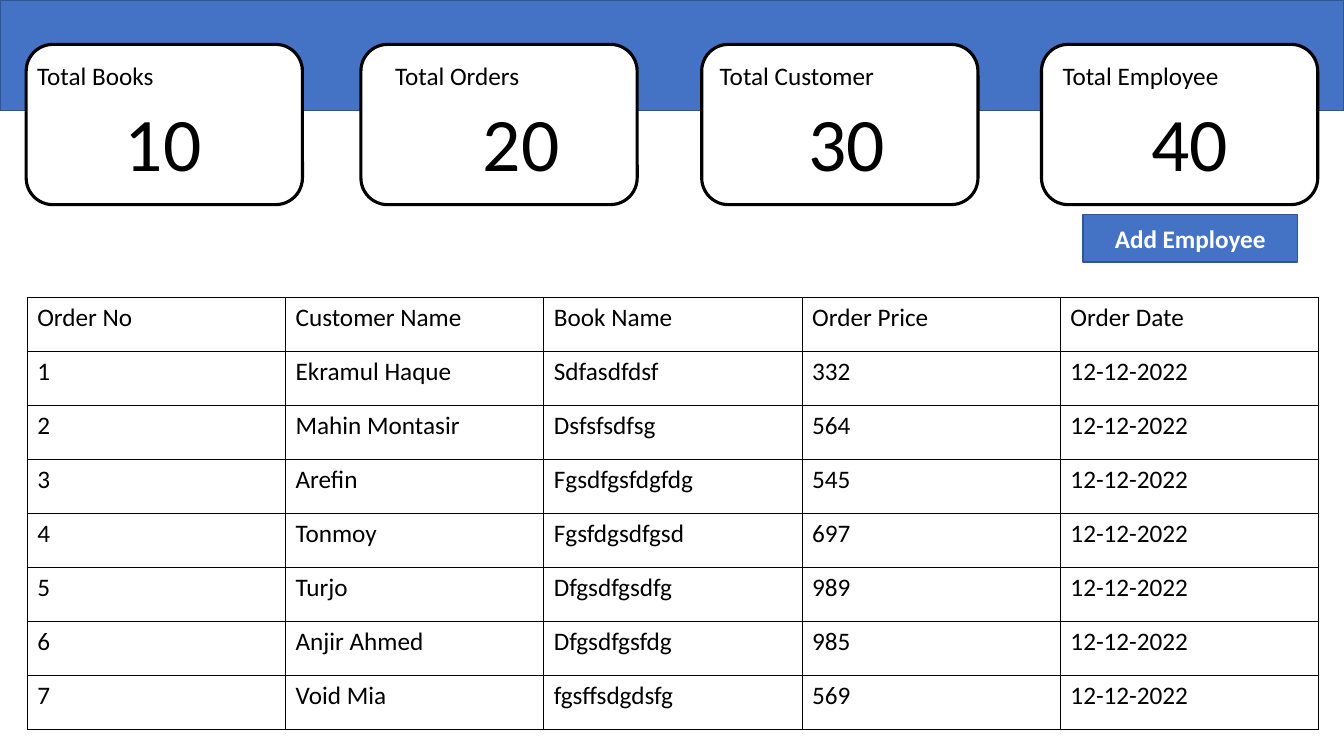
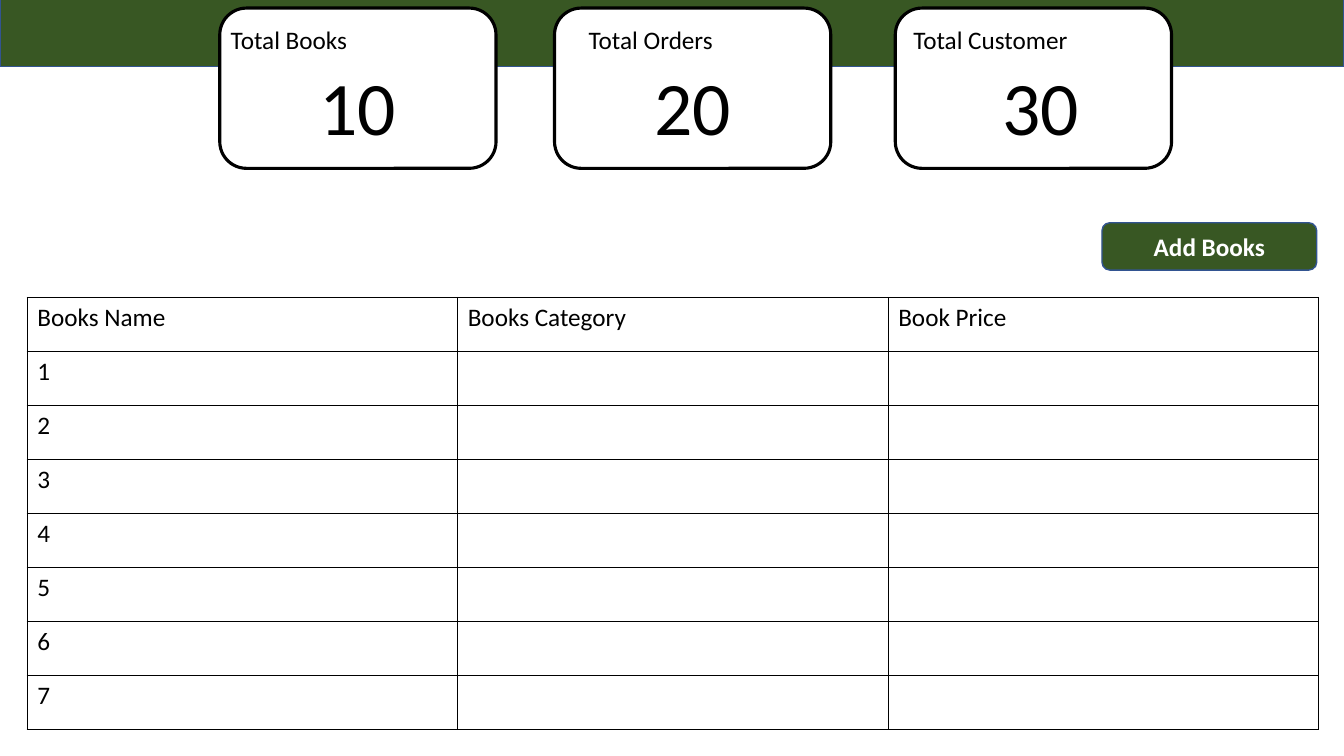
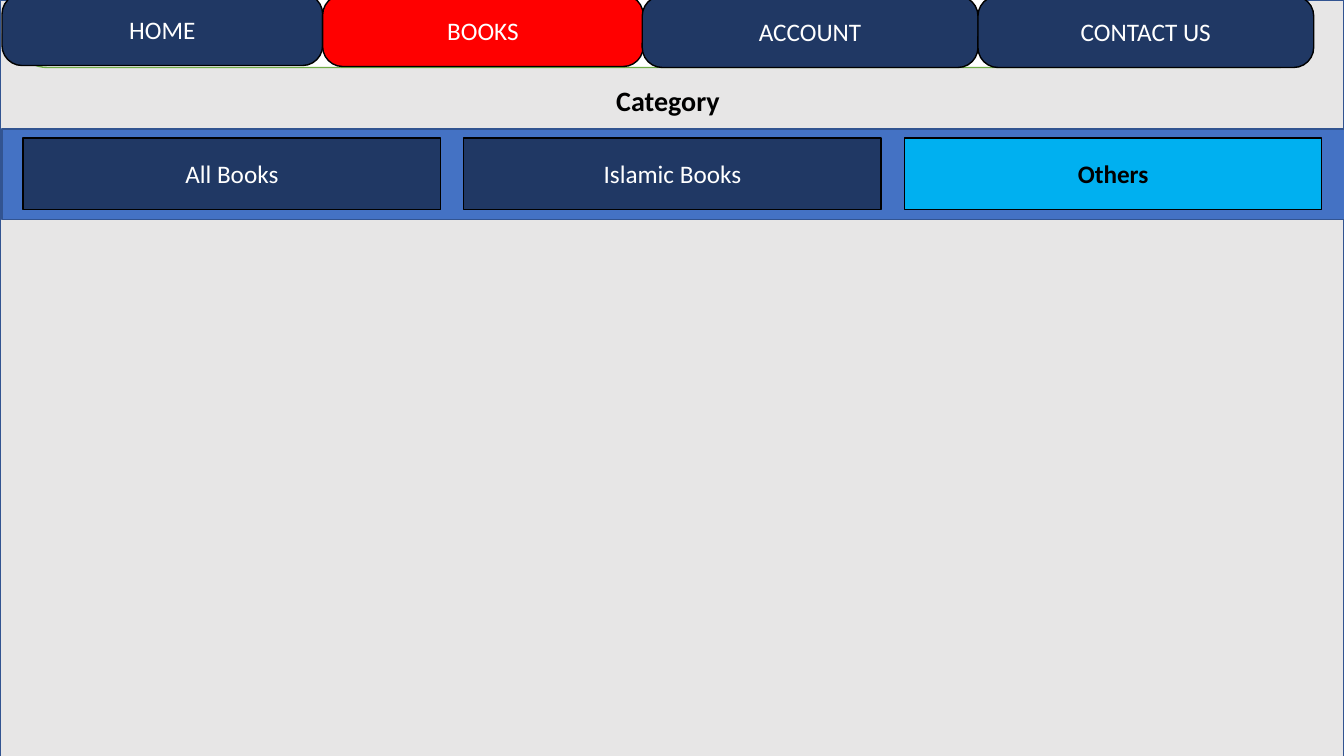
import pptx
import pptx.util
import pptx.dml.color
import pptx.enum.shapes
import pptx.enum.text
import pptx.oxml
import pptx.oxml.ns

Inches = pptx.util.Inches
Pt = pptx.util.Pt
SHAPE = pptx.enum.shapes.MSO_SHAPE
ALIGN = pptx.enum.text.PP_ALIGN
ANCHOR = pptx.enum.text.MSO_ANCHOR
FIT = pptx.enum.text.MSO_AUTO_SIZE

# Content
CARDS = [  # label, value, card left, label inset, label width
    ("Total Books", "10", 0.26, 0.01, 1.42),
    ("Total Orders", "20", 3.58, 0.24, 1.51),
    ("Total Customer", "30", 6.96, 0.08, 1.84),
    ("Total Employee", "40", 10.33, 0.11, 1.75),
]
ORDER_DATE = "12-12-2022"
ORDERS = [
    ("Ekramul Haque", "Sdfasdfdsf", "332"),
    ("Mahin Montasir", "Dsfsfsdfsg", "564"),
    ("Arefin", "Fgsdfgsfdgfdg", "545"),
    ("Tonmoy", "Fgsfdgsdfgsd", "697"),
    ("Turjo", "Dfgsdfgsdfg", "989"),
    ("Anjir Ahmed", "Dfgsdfgsfdg", "985"),
    ("Void Mia", "fgsffsdgdsfg", "569"),
]
ORDER_ROWS = [("Order No", "Customer Name", "Book Name", "Order Price", "Order Date")] + [
    (str(number), *order, ORDER_DATE) for number, order in enumerate(ORDERS, 1)]
BOOK_ROWS = [("Books Name", "Books Category", "Book Price")] + [
    (str(number), "", "") for number in range(1, 8)]

DASHBOARDS = [
    {"color": "blue", "band_top": 0, "cards": CARDS, "shift": 0, "card_top": 0.44,
     "value_insets": (0.88, 1.11, 0.96, 0.99), "rows": ORDER_ROWS,
     "button": ("Add Employee", SHAPE.RECTANGLE, 10.74, 2.13)},
    {"color": "green", "band_top": -0.44, "cards": CARDS[:3], "shift": 1.92, "card_top": 0.08,
     "value_insets": (0.89, 0.89, 0.96), "rows": BOOK_ROWS,
     "button": ("Add Books", SHAPE.ROUNDED_RECTANGLE, 10.93, 2.21)},
]
NAV_TABS = [  # text, left, top, width, fill
    ("HOME", 0.02, -0.06, 3.18, "navy"),
    ("BOOKS", 3.2, -0.05, 3.18, "red"),
    ("ACCOUNT", 6.37, -0.04, 3.33, "navy"),
    ("CONTACT US", 9.7, -0.04, 3.33, "navy"),
]
CATEGORIES = [  # text, fill, font format
    ("All Books", "navy", {}),
    ("Islamic Books", "navy", {}),
    ("Others", "sky", {"color": "black", "bold": True}),
]

# Shared look
COLORS = {"blue": "4472C4", "edge": "325491", "green": "385723", "navy": "203864",
          "red": "FF0000", "sky": "00B0F0", "gray": "E7E6E6", "leaf": "70AD47",
          "white": "FFFFFF", "black": "000000"}
FONT = "Calibri"
SLIDE_WIDTH, SLIDE_HEIGHT = 13.33, 7.5
BAND_HEIGHT = 1.1
CARD_SIZE = (2.74, 1.59)
BUTTON_SIZE = (2.13, 0.47)
TABLE_BOX = (0.27, 2.95, 12.81, 4.29)
TAB_HEIGHT = 0.71
TITLE_ONLY, BLANK = 5, 6


def rgb(name):
    return pptx.dml.color.RGBColor.from_string(COLORS[name])


def write(frame, text, size=18, color="black", bold=False, align=ALIGN.LEFT):
    para = frame.paragraphs[0]
    para.alignment = align
    span = para.add_run()
    span.text = text
    for key, value in {"name": FONT, "size": Pt(size), "bold": bold}.items():
        setattr(span.font, key, value)
    span.font.color.rgb = rgb(color)


def add_box(page, kind, at, fill, line="edge", weight=1, text="", corner=None, **font):
    box = page.shapes.add_shape(kind, *map(Inches, at))
    box.shadow.inherit = False
    box.fill.solid()
    box.fill.fore_color.rgb = rgb(fill)
    box.line.color.rgb = rgb(line)
    box.line.width = Pt(weight)
    if corner is not None:
        box.adjustments[0] = corner
    if text:
        box.text_frame.vertical_anchor = ANCHOR.MIDDLE
        write(box.text_frame, text, **{"color": "white", "align": ALIGN.CENTER, **font})


def add_label(page, at, text, size=18):
    label = page.shapes.add_textbox(*map(Inches, at))
    label.text_frame.word_wrap = True
    write(label.text_frame, text, size)


def add_grid(page, rows):
    left, top, width, height = TABLE_BOX
    table = page.shapes.add_table(len(rows), len(rows[0]), *map(Inches, TABLE_BOX)).table
    table.first_row = table.horz_banding = False
    for column in table.columns:
        column.width = Inches(width / len(rows[0]))
    for row, texts in zip(table.rows, rows):
        row.height = Inches(height / len(rows))
        for cell, text in zip(row.cells, texts):
            add_borders(cell)
            cell.fill.background()
            if text:
                write(cell.text_frame, text)


def add_borders(cell):
    properties = cell._tc.get_or_add_tcPr()
    for side in ("lnL", "lnR", "lnT", "lnB"):
        properties.append(pptx.oxml.parse_xml(
            f'<a:{side} {pptx.oxml.ns.nsdecls("a")} w="12700"><a:solidFill>'
            f'<a:srgbClr val="{COLORS["black"]}"/></a:solidFill></a:{side}>'))


def build_dashboard(deck, board):
    page = deck.slides.add_slide(deck.slide_layouts[BLANK])
    add_box(page, SHAPE.RECTANGLE, (0, board["band_top"], SLIDE_WIDTH, BAND_HEIGHT), board["color"])
    top = board["card_top"]
    for card, value_inset in zip(board["cards"], board["value_insets"]):
        label, value, left, label_inset, label_width = card
        left += board["shift"]
        add_box(page, SHAPE.ROUNDED_RECTANGLE, (left, top, *CARD_SIZE), "white", "black", 2.25)
        add_label(page, (left + label_inset, top + 0.11, label_width, 0.4), label)
        add_label(page, (left + value_inset, top + 0.46, 0.97, 1.01), value, 54)
    text, kind, left, top = board["button"]
    add_box(page, kind, (left, top, *BUTTON_SIZE), board["color"], text=text, bold=True)
    add_grid(page, board["rows"])


def build_categories(deck):
    page = deck.slides.add_slide(deck.slide_layouts[TITLE_ONLY])
    add_box(page, SHAPE.RECTANGLE, (0, 0, SLIDE_WIDTH, 7.73), "gray")

    # Navigation tabs
    add_box(page, SHAPE.ROUNDED_RECTANGLE, (0.13, -0.04, 12.89, TAB_HEIGHT), "white", "leaf",
            corner=0.48)
    for text, left, top, width, fill in NAV_TABS:
        add_box(page, SHAPE.ROUNDED_RECTANGLE, (left, top, width, TAB_HEIGHT), fill, "black",
                text=text, corner=0.28)

    # Category buttons
    add_box(page, SHAPE.RECTANGLE, (0.02, 1.28, SLIDE_WIDTH, 0.9), "blue")
    for index, (text, fill, font) in enumerate(CATEGORIES):
        add_box(page, SHAPE.RECTANGLE, (0.23 + index * 4.37, 1.37, 4.14, TAB_HEIGHT), fill,
                "black", text=text, **font)

    # Title, brought in front of the gray page
    title = page.shapes.title
    for key, value in zip(("left", "top", "width", "height"), (5.77, 0.78, 1.71, 0.44)):
        setattr(title, key, Inches(value))
    frame = title.text_frame
    for key, value in {"word_wrap": True, "auto_size": FIT.NONE,
                       "vertical_anchor": ANCHOR.TOP}.items():
        setattr(frame, key, value)
    write(frame, "Category", size=20, bold=True, align=ALIGN.CENTER)
    frame.paragraphs[0].line_spacing = 1.0
    title.element.getparent().append(title.element)


def main():
    deck = pptx.Presentation()
    deck.slide_width, deck.slide_height = Inches(SLIDE_WIDTH), Inches(SLIDE_HEIGHT)
    for board in DASHBOARDS:
        build_dashboard(deck, board)
    build_categories(deck)
    deck.save("out.pptx")


if __name__ == "__main__":
    main()
